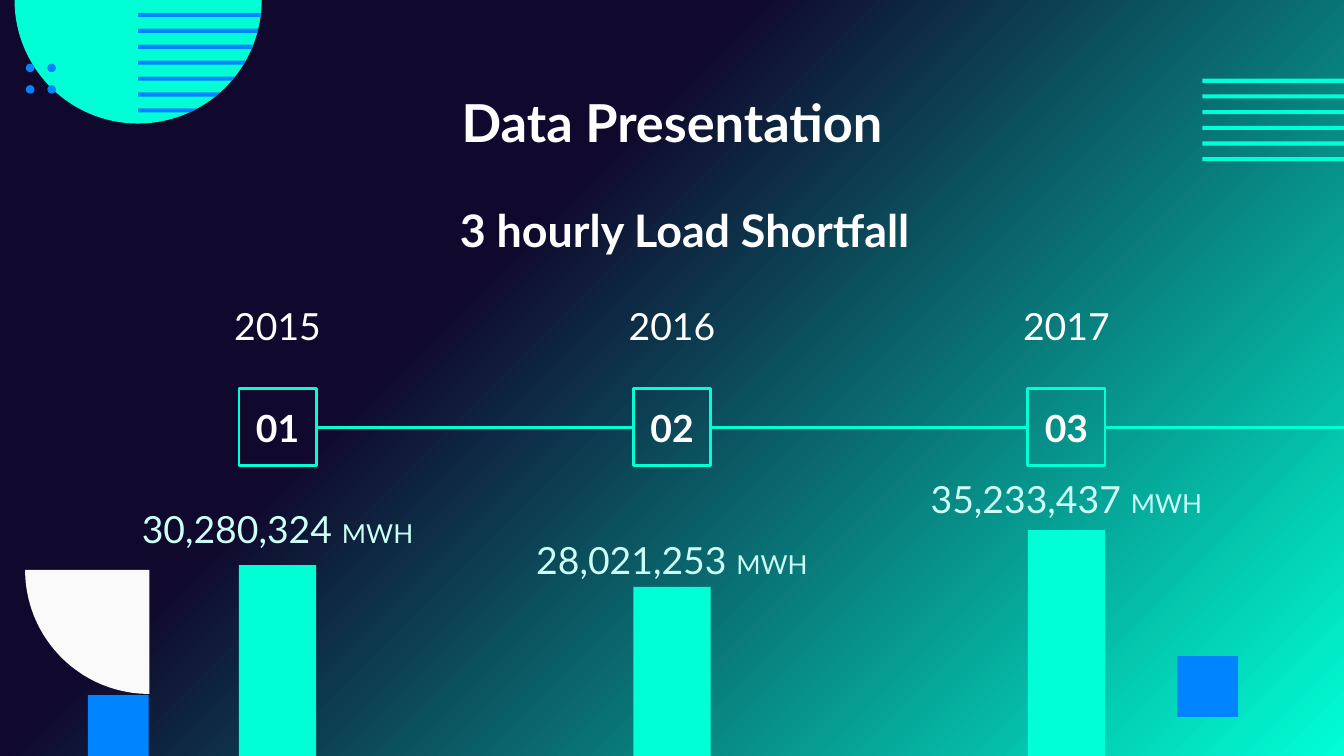
from math import cos, radians, sin, sqrt

from lxml.etree import SubElement
from pptx import Presentation
from pptx.dml.color import RGBColor
from pptx.enum.shapes import MSO_CONNECTOR, MSO_SHAPE
from pptx.enum.text import MSO_ANCHOR, MSO_AUTO_SIZE, PP_ALIGN
from pptx.oxml.ns import qn
from pptx.util import Pt

NAVY = RGBColor(0x10, 0x09, 0x2D)
MINT = RGBColor(0x00, 0xFF, 0xD5)
PALE_MINT = RGBColor(0xCC, 0xFF, 0xF7)
BLUE = RGBColor(0x00, 0x84, 0xFF)
OFF_WHITE = RGBColor(0xFA, 0xFA, 0xFA)
WHITE = RGBColor(0xFF, 0xFF, 0xFF)

FONT = "Lato"
PAGE_WIDTH, PAGE_HEIGHT = 720, 405
COLUMN_GAP = 211.3
MARKER = 41.4
LABEL_WIDTH = 184.5

YEARS = [
    ("01", "2015", "30,280,324 ", 264.2, 102.2),
    ("02", "2016", "28,021,253 ", 280.8, 90.6),
    ("03", "2017", "35,233,437 ", 247.7, 121),
]


def paint(shape, color):
    shape.shadow.inherit = False
    shape.fill.solid()
    shape.fill.fore_color.rgb = color
    shape.line.fill.background()


def add_block(page, left, top, width, height, color, kind=MSO_SHAPE.RECTANGLE):
    block = page.shapes.add_shape(kind, Pt(left), Pt(top), Pt(width), Pt(height))
    paint(block, color)
    return block


def add_outline(page, points, color):
    corners = [(Pt(x), Pt(y)) for x, y in points]
    builder = page.shapes.build_freeform(*corners[0])
    builder.add_line_segments(corners[1:], close=True)
    paint(builder.convert_to_shape(), color)


def arc(center_x, center_y, radius, start, end):
    return [
        (center_x + radius * cos(radians(angle)), center_y + radius * sin(radians(angle)))
        for angle in range(start, end + 1, 2)
    ]


def write(shape, spans, color, bold=False, anchor=MSO_ANCHOR.MIDDLE):
    frame = shape.text_frame
    frame.word_wrap = True
    frame.auto_size = MSO_AUTO_SIZE.NONE
    frame.vertical_anchor = anchor
    frame.margin_left = frame.margin_right = Pt(7.2)
    frame.margin_top = frame.margin_bottom = Pt(7.2)
    para = frame.paragraphs[0]
    para.alignment = PP_ALIGN.CENTER
    for text, size in spans:
        span = para.add_run()
        span.text = text
        span.font.name = FONT
        span.font.size = Pt(size)
        span.font.bold = bold
        span.font.color.rgb = color


def add_label(page, left, top, width, height, spans, color, **style):
    box = page.shapes.add_textbox(Pt(left), Pt(top), Pt(width), Pt(height))
    write(box, spans, color, **style)


def add_background(page):
    fill = page.background.fill
    fill.gradient()
    fill.gradient_angle = 315
    for stop, color, position in zip(fill.gradient_stops, (NAVY, MINT), (0.36, 1)):
        stop.color.rgb = color
        stop.position = position


def add_striped_semicircle(page, center_x, top, radius):
    add_outline(page, arc(center_x, top, radius, 0, 180), MINT)
    for index in range(7):
        upper = 6.9 + index * 8.53
        lower = upper + 2.2
        add_outline(page, [
            (center_x, top + upper),
            (center_x + sqrt(radius ** 2 - upper ** 2), top + upper),
            (center_x + sqrt(radius ** 2 - lower ** 2), top + lower),
            (center_x, top + lower),
        ], BLUE)


def add_dots(page, left, top):
    for row in range(2):
        for column in range(2):
            add_block(page, left + column * 11.5, top + row * 11.5, 4.6, 4.6,
                      BLUE, MSO_SHAPE.OVAL)


def add_stripes(page, left, top):
    for index in range(6):
        add_block(page, left, top + index * 8.4, PAGE_WIDTH - left, 2.2, MINT)


def add_quarter_circle(page, corner_x, corner_y, radius):
    points = [(corner_x, corner_y)] + arc(corner_x, corner_y, radius, 90, 180)
    add_outline(page, points, OFF_WHITE)


def add_headings(page):
    title = page.shapes.title
    title.left, title.top, title.width, title.height = Pt(56.6), Pt(42.8), Pt(606.8), Pt(45)
    write(title, [("Data Presentation", 28)], WHITE, bold=True)
    add_label(page, 148.5, 100.4, 436.5, 45, [("3 hourly Load Shortfall", 24)],
              WHITE, bold=True)


def add_year(page, center, number, year, value, value_top, bar_height):
    label_left = center - LABEL_WIDTH / 2
    marker_left = center - MARKER / 2
    add_label(page, label_left, 153.6, LABEL_WIDTH, 41.5, [(year, 20)], WHITE)
    marker = add_block(page, marker_left, 208.2, MARKER, MARKER, NAVY)
    marker.fill.background()
    marker.line.color.rgb = MINT
    marker.line.width = Pt(1.5)
    write(marker, [(number, 20)], WHITE, bold=True)
    add_label(page, label_left, value_top, LABEL_WIDTH, 56,
              [(value, 20), ("MWH", 14)], PALE_MINT, anchor=MSO_ANCHOR.TOP)
    add_block(page, marker_left, PAGE_HEIGHT - bar_height, MARKER, bar_height, MINT)
    return marker


def add_timeline(page):
    first = PAGE_WIDTH / 2 - COLUMN_GAP
    markers = [add_year(page, first + index * COLUMN_GAP, *entry)
               for index, entry in enumerate(YEARS)]
    for marker, following in zip(markers, markers[1:] + [None]):
        middle = marker.top + marker.height // 2
        line = page.shapes.add_connector(
            MSO_CONNECTOR.STRAIGHT, marker.left + marker.width, middle, Pt(PAGE_WIDTH), middle)
        line.begin_connect(marker, 3)
        if following is not None:
            line.end_connect(following, 1)
        line.line.color.rgb = MINT
        line.line.width = Pt(1.5)
        SubElement(line._element.spPr, qn("a:effectLst"))


def main():
    deck = Presentation()
    deck.slide_width, deck.slide_height = Pt(PAGE_WIDTH), Pt(PAGE_HEIGHT)
    page = deck.slides.add_slide(deck.slide_layouts[5])
    add_background(page)
    add_block(page, 630.7, 351.5, 32.6, 32.6, BLUE)
    add_block(page, 47.1, 372.4, 32.6, 32.6, BLUE)
    add_quarter_circle(page, 80, 305.3, 66.5)
    add_stripes(page, 644.2, 42.2)
    add_striped_semicircle(page, 74, 0, 66.2)
    add_dots(page, 13.9, 34.1)
    add_timeline(page)
    add_headings(page)
    deck.save("out.pptx")


if __name__ == "__main__":
    main()
